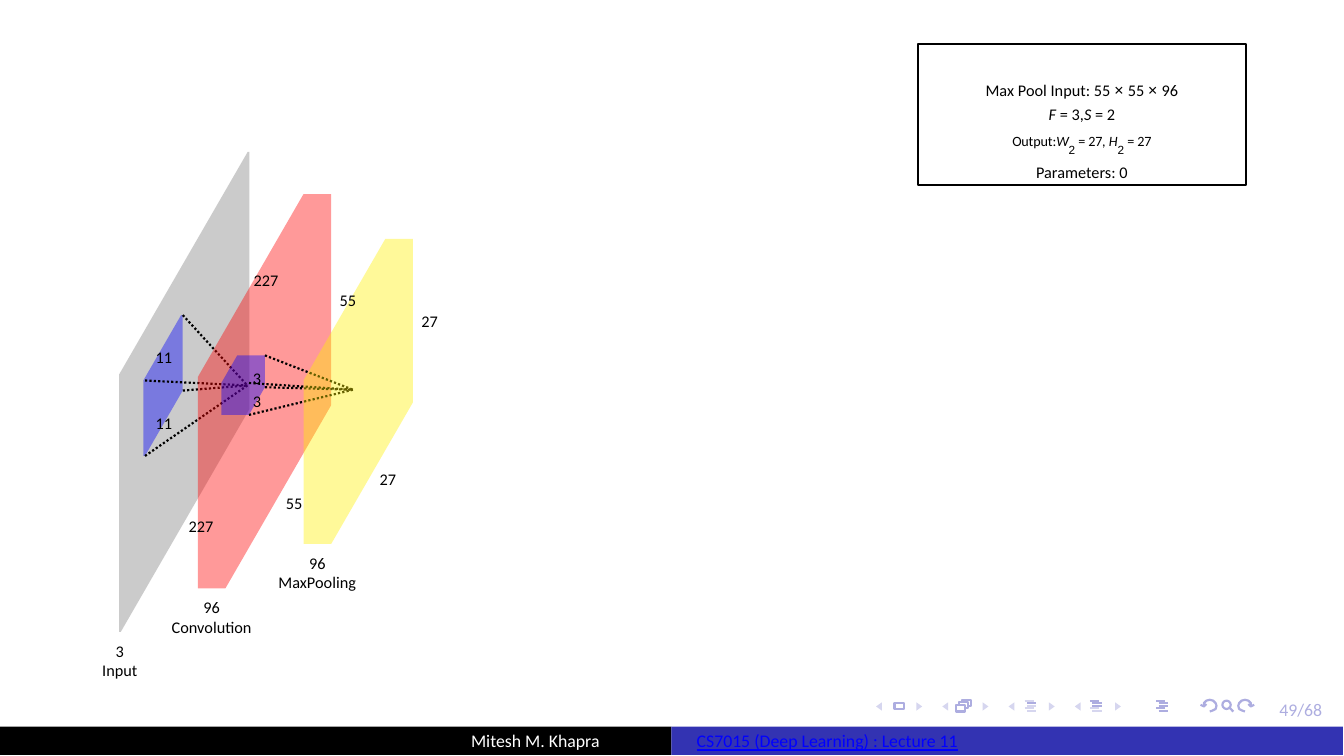
from math import sqrt
from lxml import etree
from pptx import Presentation, util as u
from pptx.dml.color import RGBColor
from pptx.enum import dml, shapes, text
from pptx.oxml.ns import qn

COLORS = dict(black="000000", white="FFFFFF", gray="7F7F7F", blue="0000FF", red="FF0000",
              yellow="FFF200", navy="3333B2", nav="ADADE0", pale="D6D6EF")

# LAYERS: left, top, depth, height, color, size label, caption, ray target
LAYERS = [
    (1.42, 4.47, 0.02, 3.07, "gray", "227", ["3", "Input"], None),
    (1.71, 4.54, 0.02, 0.9, "blue", "11", None, (2.95, 4.6)),
    (2.36, 4.5, 0.33, 2.52, "red", "55", ["96", "Convolution"], None),
    (2.64, 4.57, 0.33, 0.38, "blue", "3", None, (4.21, 4.65)),
    (3.62, 4.54, 0.33, 1.95, "yellow", "27", ["96", "MaxPooling"], None),
]

ITALIC = dict(italic=True)
SYMBOL = dict(name="Noto Sans")
RAISED = dict(size=8.2, baseline=30)
RAISED_ITALIC = dict(RAISED, italic=True)
INDEX = dict(size=4, name="Arial")
POOL_BOX = (10.95, 0.53, 3.91, 1.68)
POOL_TEXT = [
    (0, [("Max Pool Input: 55 ", {}), ("× ", SYMBOL), ("55 ", {}), ("× ", SYMBOL), ("96", {})]),
    (1.3, [("F ", ITALIC), ("= 3,", {}), ("S ", ITALIC), ("= 2", {})]),
    (2.2, [("Output:", RAISED), ("W", RAISED_ITALIC), ("2 ", INDEX), ("= 27", RAISED),
           (", H", RAISED_ITALIC), ("2 ", INDEX), ("= 27", RAISED)]),
    (1.1, [("Parameters: 0", {})]),
]

BARS = [(0, "black"), (8.01, "navy")]
FOOTER = [
    (5.62, 8.84, "Mitesh M. Khapra", dict(color="white")),
    (8.31, 8.84, "CS7015 (Deep Learning) : Lecture 11", dict(color="blue", underline=True)),
    (15.26, 8.47, "49/68", dict(color="nav")),
]

NAV_LEFT, NAV_TOP, NAV_STEP = 10.45, 8.36, 0.79
FRAME = [(10.67, 8.39), (10.78, 8.39), (10.78, 8.46), (10.67, 8.46), (10.67, 8.39)]
PAGES = [
    [(11.4, 8.41), (11.51, 8.41), (11.51, 8.49), (11.4, 8.49), (11.4, 8.41)],
    [(11.44, 8.41), (11.44, 8.38), (11.55, 8.38), (11.55, 8.45), (11.51, 8.45)],
    [(11.47, 8.38), (11.47, 8.35), (11.58, 8.35), (11.58, 8.42), (11.55, 8.42)],
]
LISTS = [(12.22, {1}), (13.0, {0, 1, 2}), (13.79, {0, 1, 2, 3, 4})]
SEARCH_X = 14.64
TURN = [
    [(-0.21, 8.49), (-0.18, 8.48), (-0.14, 8.46), (-0.13, 8.42), (-0.14, 8.39), (-0.17, 8.36),
     (-0.21, 8.35), (-0.25, 8.36), (-0.28, 8.39), (-0.28, 8.43)],
    [(-0.25, 8.4), (-0.28, 8.43), (-0.32, 8.41)],
]

prs = Presentation()
prs.slide_width, prs.slide_height = u.Cm(16.03), u.Cm(9.02)
s = prs.slides.add_slide(prs.slide_layouts[6])


def rgb(name):
    return RGBColor.from_string(COLORS[name])


def paint(sp, fill=None, line=None, alpha=None):
    sp.shadow.inherit = False
    if fill:
        sp.fill.solid()
        sp.fill.fore_color.rgb = rgb(fill)
    else:
        sp.fill.background()
    if alpha:
        clr = sp.fill._xPr.find(qn("a:solidFill"))[0]
        etree.SubElement(clr, qn("a:alpha"), val=str(alpha * 1000))
    if line:
        sp.line.color.rgb = rgb(line)
        sp.line.width = u.Pt(0.75)
    else:
        sp.line.fill.background()
    return sp


def outline(paths, close=False, **look):
    fb = None
    for path in paths:
        pts = [(u.Cm(x), u.Cm(y)) for x, y in path]
        if fb is None:
            fb = s.shapes.build_freeform(*pts[0], scale=1.0)
        else:
            fb.move_to(*pts[0])
        fb.add_line_segments(pts[1:], close=close)
    return paint(fb.convert_to_shape(), **look)


def preset(kind, box, **look):
    return paint(s.shapes.add_shape(kind, *map(u.Cm, box)), **look)


def line(a, b, color, dash=None):
    c = s.shapes.add_connector(shapes.MSO_CONNECTOR.STRAIGHT, *map(u.Cm, (*a, *b)))
    c.line.color.rgb = rgb(color)
    c.line.width = u.Pt(0.75)
    if dash:
        c.line.dash_style = dash
    etree.SubElement(c._element.spPr, qn("a:effectLst"))


def add_run(p, words, size=5.5, name="Calibri", color="black", baseline=None, **fmt):
    r = p.add_run()
    r.text = words
    r.font.color.rgb = rgb(color)
    for key, value in dict(fmt, size=u.Pt(size), name=name).items():
        setattr(r.font, key, value)
    if baseline:
        r._r.get_or_add_rPr().set("baseline", str(baseline * 1000))


def frame(sp, anchor):
    tf = sp.text_frame
    for side in ("left", "top", "right", "bottom"):
        setattr(tf, "margin_" + side, 0)
    tf.vertical_anchor = anchor
    return tf


def label(x, y, lines, width=1.2, align=text.PP_ALIGN.CENTER, **fmt):
    h = 0.24 * len(lines)
    left = x - width / 2 if align == text.PP_ALIGN.CENTER else x
    tf = frame(s.shapes.add_textbox(*map(u.Cm, (left, y - h / 2, width, h))),
               text.MSO_ANCHOR.MIDDLE)
    tf.word_wrap = False
    for i, words in enumerate(lines):
        p = tf.add_paragraph() if i else tf.paragraphs[0]
        p.alignment = align
        add_run(p, words, **fmt)


def draw_navigation():
    for i in range(4):
        for dx, tip in ((0, 0), (0.55, 1)):
            x = NAV_LEFT + i * NAV_STEP + dx
            base, point = (x - 0.07, x) if tip else (x + 0.07, x)
            outline([[(base, 8.38), (point, 8.43), (base, 8.48)]], close=True, fill="pale")
    outline([FRAME], line="nav")
    outline(PAGES, line="nav")
    for x, strong in LISTS:
        for row in range(5):
            left = x if row in (0, 3) else x + 0.03
            y = NAV_TOP + 0.03 * row
            line((left, y), (left + 0.11, y), "nav" if row in strong else "pale")
    preset(shapes.MSO_SHAPE.OVAL, (SEARCH_X - 0.06, 8.36, 0.1, 0.1), line="nav")
    line((SEARCH_X + 0.03, 8.45), (SEARCH_X + 0.07, 8.49), "nav")
    for sign in (1, -1):
        outline([[(SEARCH_X + sign * x, y) for x, y in path] for path in TURN], line="nav")


def draw_network():
    labels = []
    for x, y, depth, h, color, size, caption, target in LAYERS:
        run, rise = h / 2, h * sqrt(3) / 2
        front, back = x + depth, x + depth + run
        side = [(front, y), (back, y - rise), (back, y - rise + h), (front, y + h)]
        outline([[(x, y), (x + run, y - rise), *side[1:], (x, y + h)]],
                close=True, fill=color, alpha=40)
        middle, low = front + run / 2, y + h - rise / 2
        if target:
            for corner in side:
                line(corner, target, "black", dml.MSO_LINE.ROUND_DOT)
            labels += [(middle, y - rise / 2 + 0.11, [size]), (middle, low, [size])]
        else:
            labels += [(back + 0.2, y - rise + run, [size]),
                       (middle + 0.19, low + 0.07, [size]),
                       (x + depth / 2, y + h + 0.34, caption)]
    for item in labels:
        label(*item)


def draw_pool_box():
    sp = preset(shapes.MSO_SHAPE.RECTANGLE, POOL_BOX, line="black")
    tf = frame(sp, text.MSO_ANCHOR.TOP)
    tf.word_wrap = True
    tf.margin_top = u.Cm(0.43)
    for i, (before, runs) in enumerate(POOL_TEXT):
        p = tf.add_paragraph() if i else tf.paragraphs[0]
        p.alignment = text.PP_ALIGN.CENTER
        if before:
            p.space_before = u.Pt(before)
        for words, fmt in runs:
            add_run(p, words, **fmt)


draw_navigation()
draw_network()
draw_pool_box()
for x, color in BARS:
    preset(shapes.MSO_SHAPE.RECTANGLE, (x, 8.67, 8.01, 0.34), fill=color)
for x, y, words, fmt in FOOTER:
    label(x, y, [words], width=0.7 if len(words) < 8 else 3.2,
          align=text.PP_ALIGN.LEFT, size=6, **fmt)
prs.save("out.pptx")
